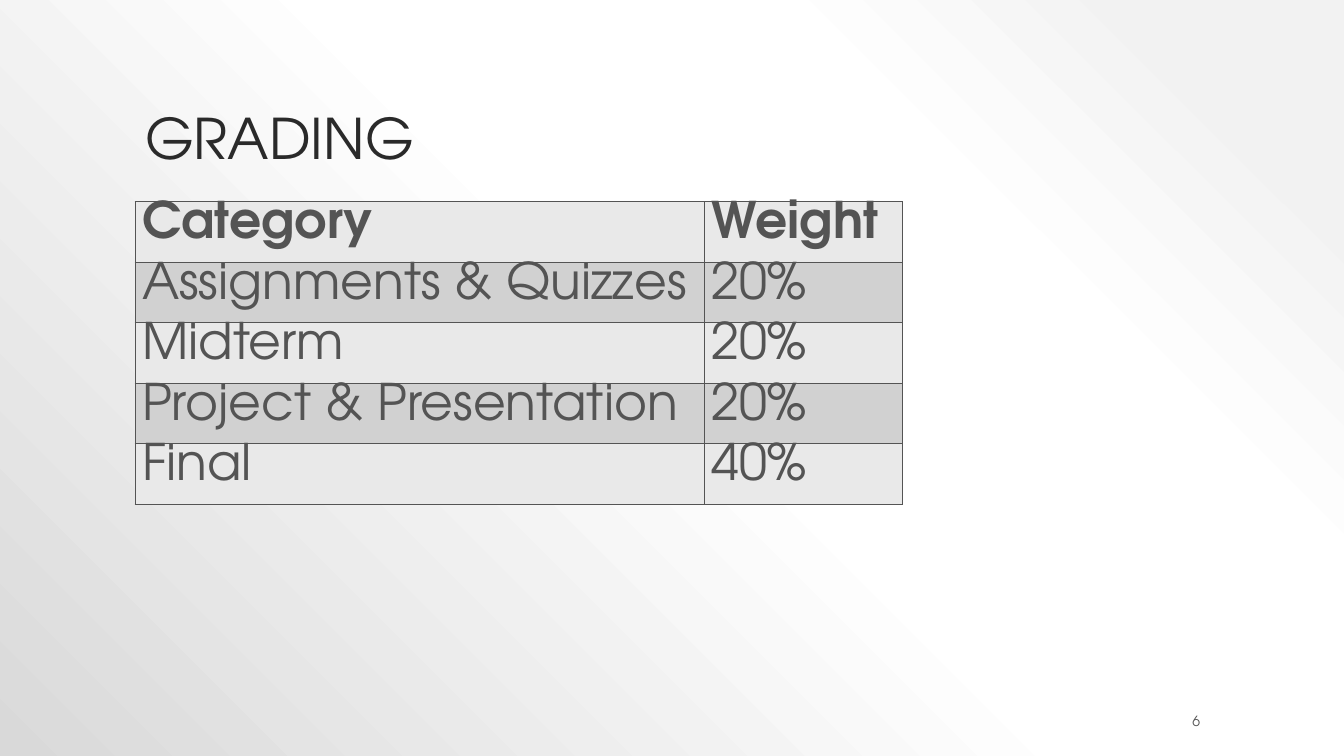
from lxml.etree import SubElement
from pptx import Presentation
from pptx.dml.color import RGBColor
from pptx.enum.text import MSO_ANCHOR as ANCHOR, PP_ALIGN as ALIGN
from pptx.oxml import parse_xml
from pptx.oxml.ns import nsdecls, qn
from pptx.util import Inches, Pt

FONT = "TeX Gyre Adventor"
LEFT = 1.34
COLORS = {"title": "2A2A2A", "text": "545454", "light": "E9E9E9", "dark": "D1D1D1"}
BACKDROP = [(10, "F2F2F2"), (28, "FFFFFF"), (48, "FFFFFF"), (100, "D9D9D9")]
GRADES = [
    ("Category", "Weight"),
    ("Assignments & Quizzes", "20%"),
    ("Midterm", "20%"),
    ("Project & Presentation", "20%"),
    ("Final", "40%"),
]


def set_background(s):
    """Fill the slide with a gradient that spreads from the top right corner."""
    stops = "".join(
        f'<a:gs pos="{pos * 1000}"><a:srgbClr val="{color}"/></a:gs>'
        for pos, color in BACKDROP
    )
    bg = parse_xml(
        f'<p:bg {nsdecls("p", "a")}><p:bgPr><a:gradFill rotWithShape="1">'
        f'<a:gsLst>{stops}</a:gsLst><a:path path="circle">'
        '<a:fillToRect l="100000" b="100000"/></a:path></a:gradFill>'
        "<a:effectLst/></p:bgPr></p:bg>"
    )
    s.element.cSld.insert(0, bg)


def add_run(p, text, size, color, bold=False):
    """Add one styled run to a paragraph."""
    r = p.add_run()
    r.text = text
    r.font.name = FONT
    r.font.size = Pt(size)
    r.font.bold = bold
    r.font.color.rgb = RGBColor.from_string(COLORS[color])


def add_text(s, box, text, size, color, anchor, align=ALIGN.LEFT, spacing=1.0):
    """Add a text box holding a single line."""
    tf = s.shapes.add_textbox(*map(Inches, box)).text_frame
    tf.word_wrap = True
    tf.vertical_anchor = anchor
    p = tf.paragraphs[0]
    p.alignment = align
    p.line_spacing = spacing
    add_run(p, text, size, color)


def add_borders(cell):
    """Draw a thin line on all four sides of a cell, ahead of its fill."""
    tc_pr = cell._tc.get_or_add_tcPr()
    for i, side in enumerate(("lnL", "lnR", "lnT", "lnB")):
        ln = SubElement(tc_pr, qn(f"a:{side}"), w=str(Pt(1)))
        fill = SubElement(ln, qn("a:solidFill"))
        SubElement(fill, qn("a:srgbClr"), val=COLORS["text"])
        tc_pr.insert(i, ln)


def fill_cell(cell, text, color, bold):
    """Style a table cell and write its text."""
    cell.margin_left = cell.margin_right = Inches(0.07)
    cell.margin_top = cell.margin_bottom = 0
    cell.fill.solid()
    cell.fill.fore_color.rgb = RGBColor.from_string(COLORS[color])
    add_borders(cell)
    p = cell.text_frame.paragraphs[0]
    p.line_spacing = 1.0
    add_run(p, text, 36, "text", bold)


def add_grades(s, left, top, widths, row_height):
    """Add the grading table with alternating row fills."""
    table = s.shapes.add_table(
        len(GRADES), len(widths), Inches(left), Inches(top),
        Inches(sum(widths)), Inches(row_height * len(GRADES)),
    ).table
    for column, width in zip(table.columns, widths):
        column.width = Inches(width)
    for i, grade in enumerate(GRADES):
        for j, text in enumerate(grade):
            fill_cell(table.cell(i, j), text, ("light", "dark")[i % 2], i == 0)


def main():
    """Build the grading slide."""
    prs = Presentation()
    prs.slide_width, prs.slide_height = Inches(13.33), Inches(7.5)
    s = prs.slides.add_slide(prs.slide_layouts[6])
    set_background(s)
    add_text(s, (LEFT, 0.3, 10.67, 1.45), "GRADING", 40, "title", ANCHOR.BOTTOM, spacing=0.9)
    add_grades(s, LEFT, 2, (5.65, 1.96), 0.41)
    add_text(s, (10.75, 7.05, 1.25, 0.2), "6", 10, "text", ANCHOR.MIDDLE, ALIGN.RIGHT)
    prs.save("out.pptx")


if __name__ == "__main__":
    main()
